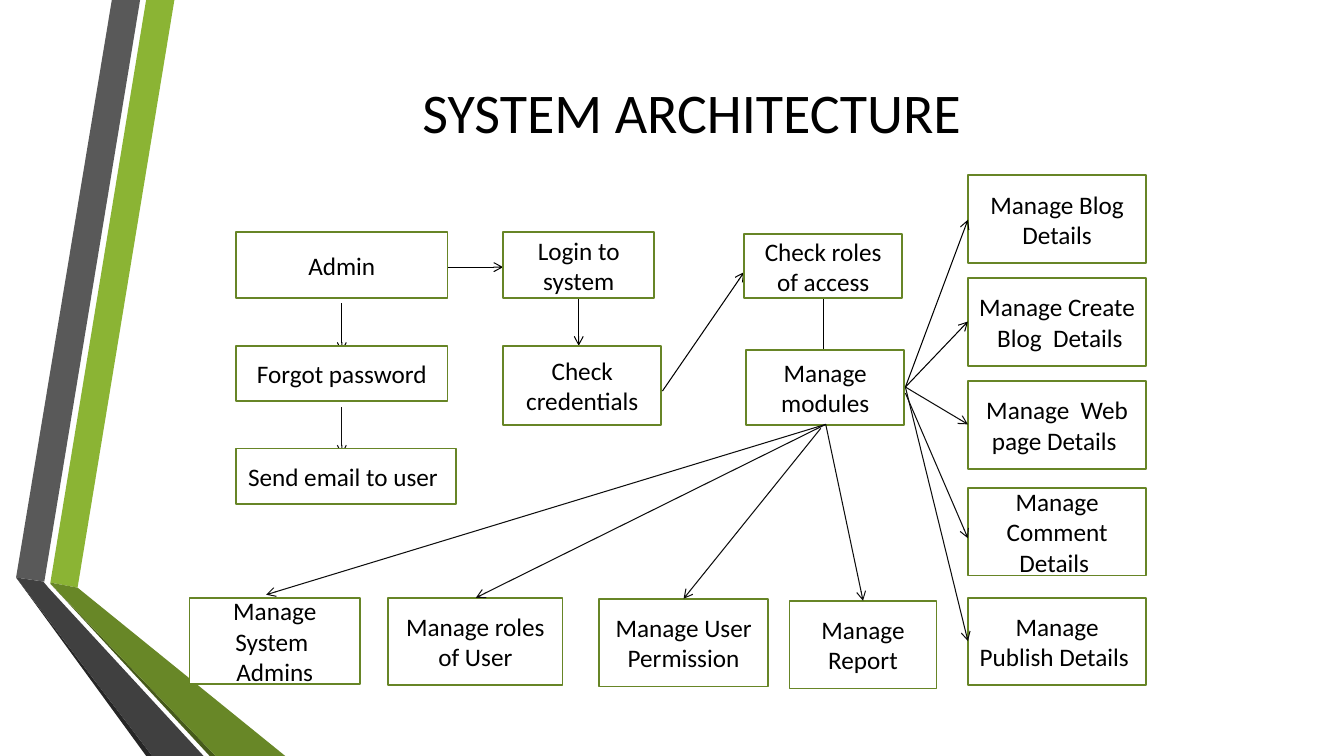
from lxml.etree import SubElement
from pptx import Presentation
from pptx.dml.color import RGBColor
from pptx.enum.shapes import MSO_CONNECTOR, MSO_SHAPE
from pptx.enum.text import MSO_ANCHOR, PP_ALIGN
from pptx.oxml.ns import qn
from pptx.util import Inches, Pt

BLACK = "000000"
SOFT_BLACK = "0D0D0D"


def write_text(shape, text, size):
    frame = shape.text_frame
    frame.word_wrap = True
    frame.vertical_anchor = MSO_ANCHOR.MIDDLE
    paragraph = frame.paragraphs[0]
    paragraph.text = text
    paragraph.alignment = PP_ALIGN.CENTER
    paragraph.font.name = "Calibri"
    paragraph.font.size = Pt(size)
    paragraph.font.color.rgb = RGBColor.from_string(BLACK)


def add_arrows(arrows):
    for x1, y1, x2, y2, color in arrows:
        connector = slide.shapes.add_connector(
            MSO_CONNECTOR.STRAIGHT, Inches(x1), Inches(y1), Inches(x2), Inches(y2))
        connector.line.color.rgb = RGBColor.from_string(color)
        connector.line.width = Pt(0.75)
        SubElement(connector.line._get_or_add_ln(), qn("a:tailEnd"), type="arrow")
        SubElement(connector._element.spPr, qn("a:effectLst"))


presentation = Presentation()
presentation.slide_width = Inches(13.33)
presentation.slide_height = Inches(7.5)
slide = presentation.slides.add_slide(presentation.slide_layouts[6])

ribbons = [
    ("8BB434", [(0.5, 5.78), (0.77, 5.83), (1.73, 0), (1.45, 0)]),
    ("595959", [(1.39, 0), (1.11, 0), (0.16, 5.73), (0.44, 5.77)]),
    ("262626", [(0.16, 5.73), (1.45, 7.5), (1.51, 7.5)]),
    ("465A1A", [(0.5, 5.79), (2.08, 7.5), (2.14, 7.5)]),
    ("688727", [(0.5, 5.79), (2.14, 7.5), (2.83, 7.5), (0.77, 5.83), (0.5, 5.78)]),
    ("404040", [(2.02, 7.5), (0.48, 5.83), (0.43, 5.77), (0.16, 5.73), (1.51, 7.5)]),
]
for color, points in ribbons:
    corners = [(Inches(x), Inches(y)) for x, y in points]
    builder = slide.shapes.build_freeform(*corners[0])
    builder.add_line_segments(corners[1:], close=True)
    ribbon = builder.convert_to_shape()
    ribbon.shadow.inherit = False
    ribbon.fill.solid()
    ribbon.fill.fore_color.rgb = RGBColor.from_string(color)
    ribbon.line.fill.background()

add_arrows([
    (4.44, 2.65, 4.99, 2.65, BLACK),
    (5.74, 2.95, 5.74, 3.43, BLACK),
    (3.39, 3.01, 3.39, 3.49, BLACK),
    (3.39, 4.04, 3.39, 4.51, SOFT_BLACK),
    (6.57, 3.88, 7.38, 2.7, BLACK),
    (8.17, 2.95, 8.17, 3.7, BLACK),
])

boxes = [
    ("Admin", 2.34, 2.3, 2.1, 0.66),
    ("Login to system", 4.99, 2.3, 1.5, 0.66),
    ("Check credentials", 4.99, 3.43, 1.57, 0.79),
    ("Forgot password", 2.34, 3.43, 2.1, 0.55),
    ("Send email to user ", 2.34, 4.45, 2.18, 0.55),
    ("Check roles of access", 7.38, 2.32, 1.57, 0.64),
    ("Manage modules", 7.4, 3.47, 1.57, 0.75),
    ("Manage System  Admins", 1.88, 5.93, 1.69, 0.86),
    ("Manage roles of User", 3.85, 5.93, 1.73, 0.87),
    ("Manage User Permission", 5.94, 5.94, 1.68, 0.87),
    ("Manage Report", 7.83, 5.96, 1.46, 0.87),
]
details = [
    ("Manage Blog Details", 1.74),
    ("Manage Create  Blog  Details", 2.76),
    ("Manage  Web page Details ", 3.78),
    ("Manage Comment Details ", 4.84),
    ("Manage Publish Details ", 5.93),
]
boxes += [(text, 9.6, top, 1.77, 0.87) for text, top in details]
for text, left, top, width, height in boxes:
    box = slide.shapes.add_shape(
        MSO_SHAPE.RECTANGLE, Inches(left), Inches(top), Inches(width), Inches(height))
    box.shadow.inherit = False
    box.fill.solid()
    box.fill.fore_color.rgb = RGBColor.from_string("FFFFFF")
    box.line.color.rgb = RGBColor.from_string("678526")
    box.line.width = Pt(1.25)
    write_text(box, text, 18)

add_arrows([
    (8.19, 4.21, 2.64, 5.9, SOFT_BLACK),
    (8.19, 4.21, 4.72, 5.93, SOFT_BLACK),
    (8.14, 4.25, 6.78, 5.94, SOFT_BLACK),
    (8.19, 4.21, 8.56, 5.96, SOFT_BLACK),
    (8.98, 3.84, 9.6, 2.18, BLACK),
    (8.98, 3.84, 9.6, 3.19, BLACK),
    (8.98, 3.84, 9.6, 4.21, SOFT_BLACK),
    (8.98, 3.9, 9.6, 5.34, SOFT_BLACK),
    (8.98, 3.84, 9.6, 6.36, SOFT_BLACK),
])

title = slide.shapes.add_textbox(Inches(1.39), Inches(0.19), Inches(10.94), Inches(1.83))
write_text(title, "SYSTEM ARCHITECTURE", 40)

presentation.save("out.pptx")
